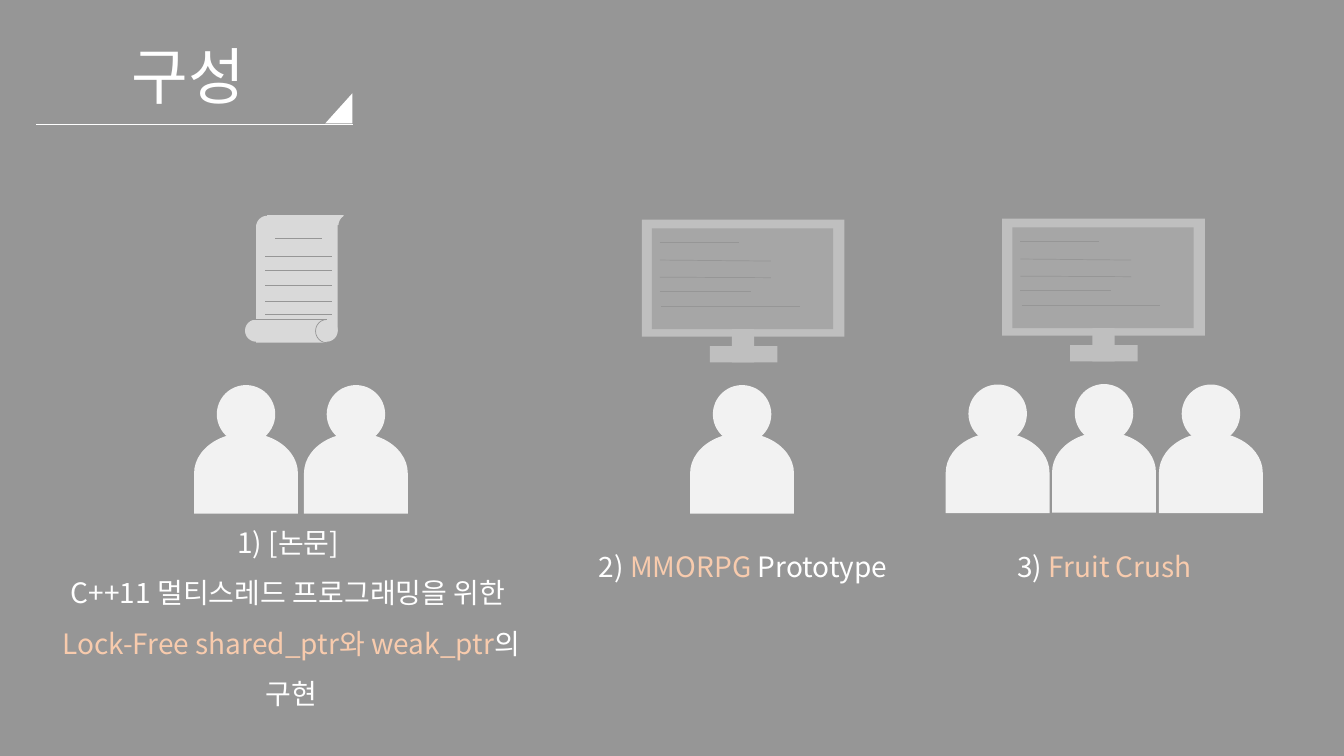
from lxml import etree
from pptx import Presentation
from pptx.dml.color import RGBColor
from pptx.enum.shapes import MSO_CONNECTOR, MSO_SHAPE
from pptx.enum.text import MSO_ANCHOR, PP_ALIGN
from pptx.oxml.ns import qn
from pptx.util import Inches, Pt

RECT, OVAL, ARC = MSO_SHAPE.RECTANGLE, MSO_SHAPE.OVAL, MSO_SHAPE.ARC
WEDGE, DELAY = MSO_SHAPE.RIGHT_TRIANGLE, MSO_SHAPE.FLOWCHART_DELAY
LINE = MSO_CONNECTOR.STRAIGHT
LEFT, MID = PP_ALIGN.LEFT, PP_ALIGN.CENTER
TOP, CORE = MSO_ANCHOR.TOP, MSO_ANCHOR.MIDDLE
COLS, ROWS = 133.3, 75
FONT = "Noto Sans CJK KR"
HUES = {"back": "969696", "white": "FFFFFF", "peach": "F8CBAD", "skin": "F2F2F2",
        "page": "D9D9D9", "case": "BFBFBF", "glass": "A6A6A6"}


class Pen:
    """Draws styled elements on a slide, with lengths in grid columns and rows."""

    def __init__(self, deck):
        self.col, self.row = deck.slide_width / COLS, deck.slide_height / ROWS
        self.slide = deck.slides.add_slide(deck.slide_layouts[6])
        self.home = self.slide.shapes

    def group(self):
        self.home = self.slide.shapes.add_group_shape().shapes

    def leave(self):
        self.home = self.slide.shapes

    def grid(self, *spots):
        return [round(s * (self.row if i % 2 else self.col)) for i, s in enumerate(spots)]

    def hue(self, name):
        return RGBColor.from_string(HUES[name])

    def shape(self, kind, x, y, w, h, fill, turn=0):
        form = self.home.add_shape(kind, *self.grid(x, y, w, h))
        form.shadow.inherit = False
        form.rotation = turn
        form.fill.solid()
        form.fill.fore_color.rgb = self.hue(fill)
        form.line.fill.background()

    def arc(self, x, y, w, h, start, end):
        form = self.home.add_shape(ARC, *self.grid(x, y, w, h))
        form.shadow.inherit = False
        form.adjustments[0], form.adjustments[1] = start, end
        form.fill.background()
        form.line.color.rgb, form.line.width = self.hue("back"), Pt(0.5)

    def line(self, x1, y1, x2, y2, tint="back"):
        link = self.home.add_connector(LINE, *self.grid(x1, y1, x2, y2))
        link.line.color.rgb, link.line.width = self.hue(tint), Pt(0.5)
        etree.SubElement(link._element.spPr, qn("a:effectLst"))

    def text(self, x, y, w, h, lines, size=20, space=1.0, align=MID, anchor=TOP):
        frame = self.home.add_textbox(*self.grid(x, y, w, h)).text_frame
        self.style(frame, {"word_wrap": True, "vertical_anchor": anchor})
        for i, runs in enumerate(lines):
            para = frame.add_paragraph() if i else frame.paragraphs[0]
            self.style(para, {"alignment": align, "line_spacing": space})
            for words, tint in runs:
                run = para.add_run()
                run.text = words
                self.style(run.font, {"size": Pt(size), "name": FONT})
                run.font.color.rgb = self.hue(tint)
                east = etree.SubElement(run.font._element, qn("a:ea"))
                east.set("typeface", FONT)

    def style(self, item, form):
        for name, value in form.items():
            setattr(item, name, value)

    def person(self, mid, y):
        self.group()
        self.shape(DELAY, mid - 4, y + 3.6, 8, 10.3, "skin", 270)
        self.shape(OVAL, mid - 2.9, y, 5.8, 5.8, "skin")
        self.leave()

    def screen(self, x, y):
        self.group()
        self.shape(RECT, x, y, 20.1, 11.6, "case")
        self.shape(RECT, x + 1, y + 0.85, 18, 10, "glass")
        for left, drop, wide, tilt in ((1.8, 2.2, 7.8, 0), (1.8, 4, 11, 0.1),
                                       (1.8, 5.7, 11, 0.05), (1.8, 7.1, 9, 0),
                                       (1.95, 8.6, 13.7, 0)):
            self.line(x + left, y + drop, x + left + wide, y + drop + tilt)
        self.shape(RECT, x + 6.75, y + 12.55, 6.7, 1.6, "case")
        self.shape(RECT, x + 8.95, y + 10.85, 2.2, 3.3, "case")
        self.leave()

    def scroll(self):
        for kind, x, y, w, h, fill in (
                (RECT, 25.4, 22.3, 8.1, 10.6, "page"), (RECT, 25.4, 32.4, 7, 1.6, "page"),
                (OVAL, 25.4, 21.4, 2.2, 2.2, "page"), (OVAL, 31.3, 31.7, 2.2, 2.2, "page"),
                (OVAL, 24.3, 31.7, 2.2, 2.2, "page"), (RECT, 26.5, 21.35, 7.6, 1, "page"),
                (OVAL, 33.6, 21.3, 2.2, 2.2, "back")):
            self.shape(kind, x, y, w, h, fill)
        self.line(23, 31.7, 32.4, 31.7)
        self.arc(31.3, 31.7, 2.2, 2.3, 51.5, 161.48)
        self.arc(33.6, 21.3, 2.2, 2.3, 109.28, 154.88)
        for y in (25.4, 26.8, 28.3, 29.9, 31.2):
            self.line(26.3, y, 32.9, y)
        self.line(27.3, 23.6, 31.9, 23.6)


def main():
    deck = Presentation()
    deck.slide_width, deck.slide_height = Inches(13.33), Inches(7.5)
    pen = Pen(deck)
    pen.shape(RECT, 0, 0, COLS, ROWS, "back")
    pen.text(12.1, 3.4, 14.4, 8.9, [[("구성", "white")]], 44, 0.9, LEFT, CORE)
    pen.line(35, 12.3, 3.6, 12.3, "white")
    pen.shape(WEDGE, 32.1, 9.4, 3, 2.7, "white", 270)

    pen.text(2.7, 53, 52.4, 14.9, [
        [("1) [논문] ", "white")],
        [("C++11 멀티스레드 프로그래밍을 위한 ", "white")],
        [("Lock-Free shared_ptr와 weak_ptr", "peach"), ("의 구현", "white")],
    ], space=1.5, anchor=CORE)
    pen.text(54.3, 54, 38.8, 4.4, [
        [("2) ", "white"), ("MMORPG ", "peach"), ("Prototype", "white")]])
    pen.text(97.8, 54, 23.5, 4.4, [[("3) ", "white"), ("Fruit Crush", "peach")]])

    pen.scroll()
    for mid, y in ((35.3, 38.2), (24.4, 38.2), (73.6, 38.2),
                   (98.95, 38.15), (109.5, 38.1), (120.1, 38.15)):
        pen.person(mid, y)
    for x, y in ((63.65, 21.8), (99.4, 21.7)):
        pen.screen(x, y)
    deck.save("out.pptx")


if __name__ == "__main__":
    main()
